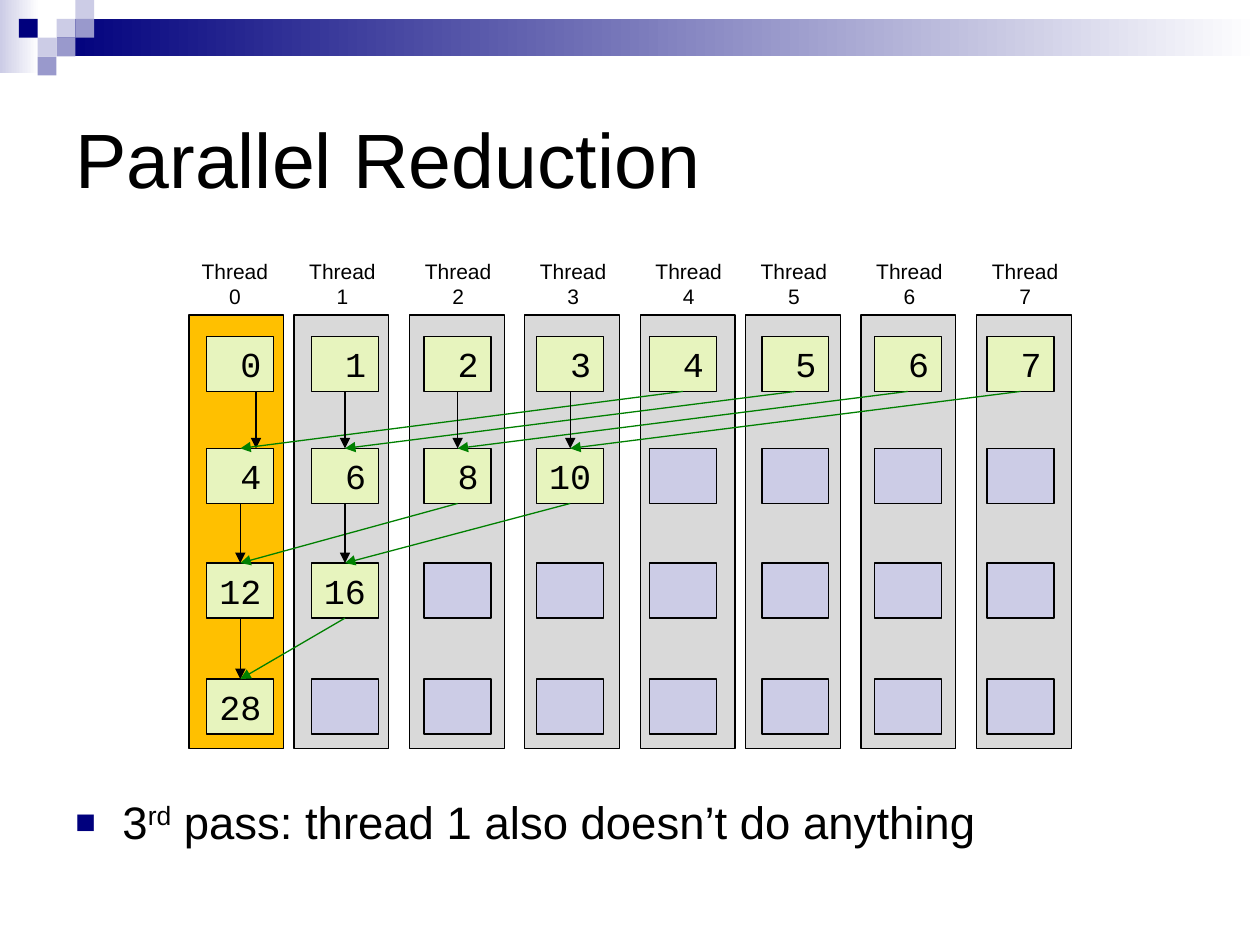
from lxml.etree import SubElement
from pptx import Presentation
from pptx.dml.color import RGBColor
from pptx.enum.shapes import MSO_CONNECTOR, MSO_SHAPE
from pptx.enum.text import MSO_ANCHOR, PP_ALIGN
from pptx.oxml.ns import qn
from pptx.util import Cm, Pt

INK = {
    "black": "000000", "navy": "00007D", "pale": "CCCCE6", "mid": "9999CC",
    "white": "FFFFFF", "gray": "D9D9D9", "gold": "FFC000", "lime": "E7F4BE",
    "green": "008000",
}
HEX = {name: RGBColor.from_string(code) for name, code in INK.items()}

deck = Presentation()
deck.slide_width, deck.slide_height = Cm(25.4), Cm(19.05)
slide = deck.slides.add_slide(deck.slide_layouts[6])
shapes = slide.shapes


def add_box(x, y, w, h, fill, edge=True):
    """Add a rectangle; a pair of colours gives a left-to-right gradient."""
    box = shapes.add_shape(MSO_SHAPE.RECTANGLE, Cm(x), Cm(y), Cm(w), Cm(h))
    box.shadow.inherit = False
    if isinstance(fill, tuple):
        box.fill.gradient()
        box.fill.gradient_angle = 0
        for stop, name in zip(box.fill.gradient_stops, fill):
            stop.color.rgb = HEX[name]
    else:
        box.fill.solid()
        box.fill.fore_color.rgb = HEX[fill]
    if edge:
        box.line.color.rgb = HEX["black"]
        box.line.width = Pt(0.75)
    else:
        box.line.fill.background()
    return box


def style(frame, size, font="Arial", align=PP_ALIGN.LEFT):
    """Format every run in a text frame."""
    for para in frame.paragraphs:
        para.alignment = align
        for run in para.runs:
            run.font.size = Pt(size)
            run.font.name = font
            run.font.color.rgb = HEX["black"]


# Banner with its mosaic of square tiles
tile = 0.38
add_box(0, 0, 0.79, 1.47, ("pale", "white"), edge=False)
add_box(3 * tile, tile, 24.26, 2 * tile, ("navy", "white"), edge=False)
tiles = [(3, 1, "pale"), (4, 0, "pale"), (4, 1, "mid"), (2, 2, "pale"),
         (1, 1, "navy"), (3, 2, "mid"), (2, 3, "mid")]
for col, row, fill in tiles:
    add_box(col * tile, row * tile, tile, tile, fill, edge=False)

# Title
title = shapes.add_textbox(Cm(1.27), Cm(1.27), Cm(22.86), Cm(3.81)).text_frame
title.word_wrap = True
title.vertical_anchor = MSO_ANCHOR.MIDDLE
title.text = "Parallel Reduction"
style(title, 44)

# Thread lanes and their labels
lanes = [3.81, 5.93, 8.26, 10.58, 12.91, 15.03, 17.36, 19.69]
for num, x in enumerate(lanes):
    add_box(x, 6.35, 1.91, 8.74, "gray" if num else "gold")
    left = x + 0.05 if num else x
    label = shapes.add_textbox(Cm(left), Cm(5.08), Cm(1.85), Cm(1.27)).text_frame
    label.word_wrap = False
    label.text = f"Thread\n{num}"
    style(label, 12, align=PP_ALIGN.CENTER)

# Cells: each pass leaves half as many values
passes = [list(range(8)), [4, 6, 8, 10], [12, 16], [28]]
cols = [4.17] + [6.28 + 2.27 * step for step in range(7)]
rows = [6.78, 9.04, 11.35, 13.69]
grid = []
for y, values in zip(rows, passes):
    line = []
    for col, x in enumerate(cols):
        live = col < len(values)
        cell = add_box(x, y, 1.35, 1.11, "lime" if live else "pale")
        if live:
            frame = cell.text_frame
            frame.margin_left = 0
            frame.vertical_anchor = MSO_ANCHOR.TOP
            frame.text = str(values[col])
            style(frame, 20, "Courier New", PP_ALIGN.RIGHT)
        line.append(cell)
    grid.append(line)

# Arrows: black keeps a thread's own value, green adds its partner's
for row in range(1, len(passes)):
    count = len(passes[row])
    for col in range(count):
        for source, color in ((col, "black"), (col + count, "green")):
            start, end = grid[row - 1][source], grid[row][col]
            x = Cm(5.16)
            arrow = shapes.add_connector(
                MSO_CONNECTOR.STRAIGHT, x, start.top + start.height, x, end.top)
            # The very first arrow stands right of the middle, unjoined
            if (row, source) != (1, 0):
                arrow.begin_connect(start, 2)
                arrow.end_connect(end, 0)
            arrow.line.color.rgb = HEX[color]
            arrow.line.width = Pt(0.75)
            SubElement(arrow.line._get_or_add_ln(), qn("a:tailEnd"), type="triangle")
            SubElement(arrow._element.spPr, qn("a:effectLst"))

# Bullet line
note = shapes.add_textbox(Cm(1.27), Cm(15.88), Cm(22.86), Cm(1.7)).text_frame
note.word_wrap = True
para = note.paragraphs[0]
for part in ("3", "rd", " pass: thread 1 also doesn’t do anything"):
    para.add_run().text = part
style(note, 26)
para.runs[1]._r.get_or_add_rPr().set("baseline", "30000")
para.space_before = Pt(6.5)
props = para._p.get_or_add_pPr()
props.set("marL", str(Cm(0.95)))
props.set("indent", str(Cm(-0.95)))
SubElement(SubElement(props, qn("a:buClr")), qn("a:srgbClr"), val=INK["navy"])
SubElement(props, qn("a:buSzPct"), val="75000")
SubElement(props, qn("a:buFont"), typeface="Arial")
SubElement(props, qn("a:buChar"), char="■")

deck.save("out.pptx")
